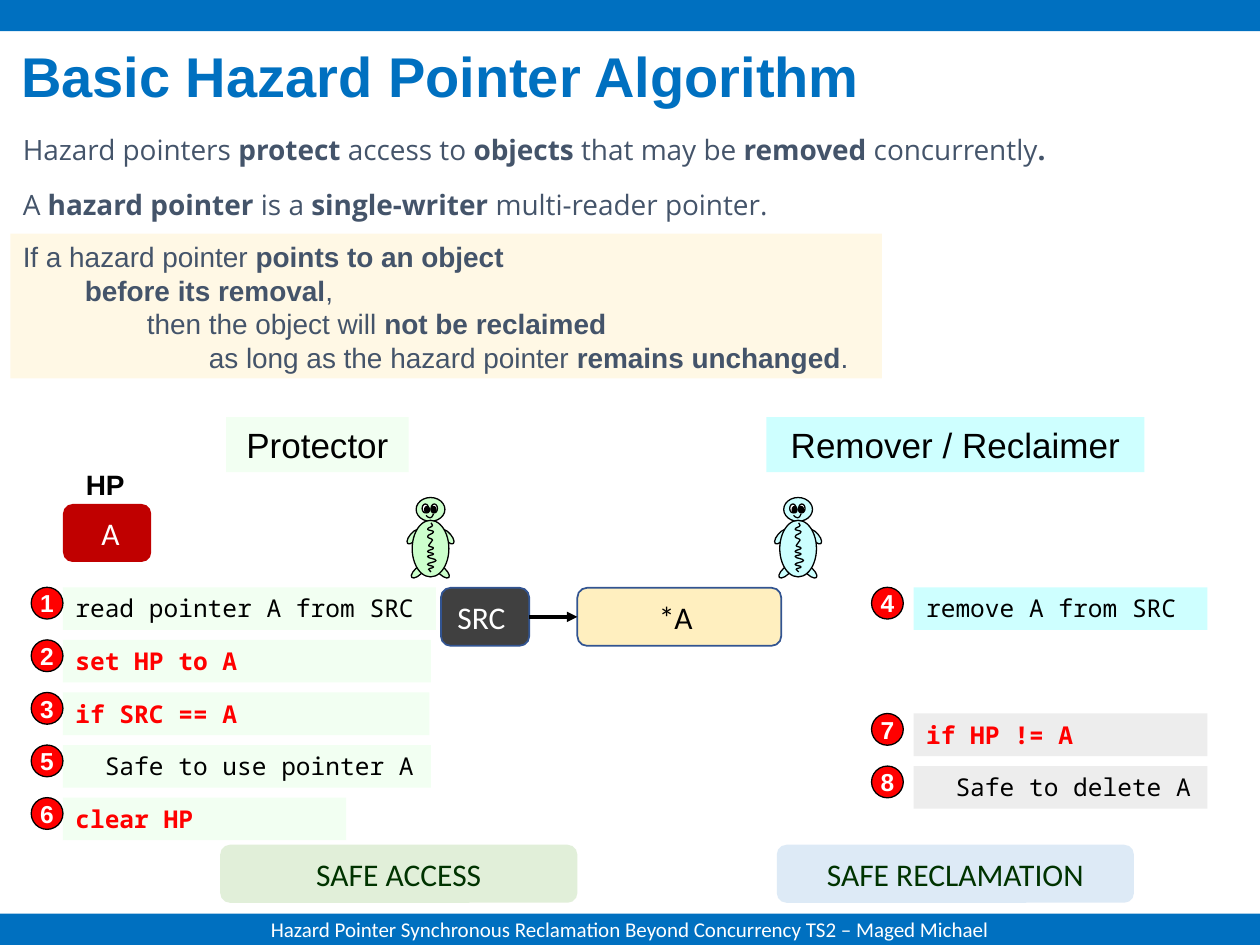
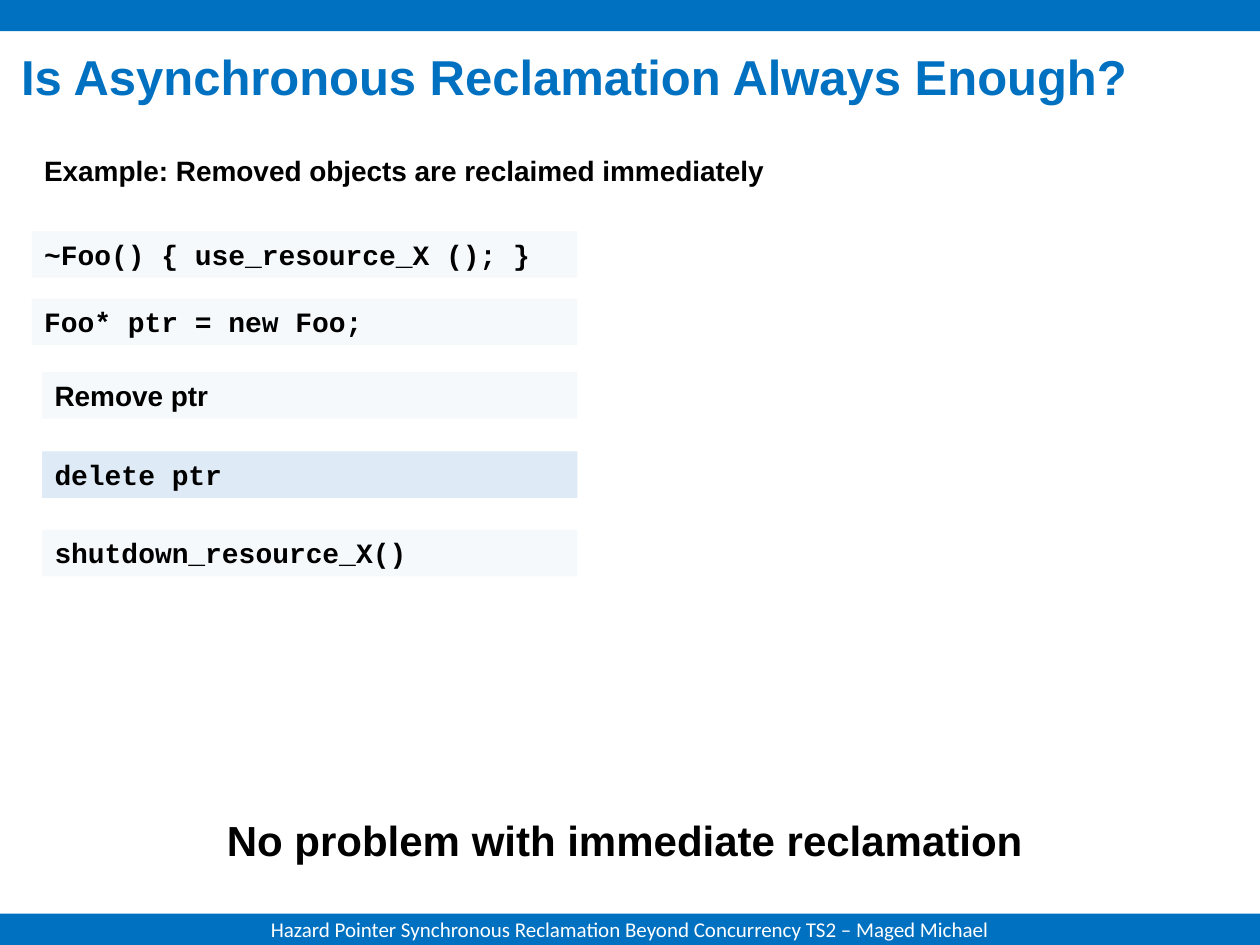
"""Build two slides on hazard pointers and reclamation."""
from dataclasses import dataclass
from typing import Any, NamedTuple, Optional

from lxml import etree
from pptx import Presentation, util as u
from pptx.dml import color
from pptx.enum import shapes, text
from pptx.oxml import ns

Form = shapes.MSO_SHAPE
Side = text.PP_ALIGN
Hold = text.MSO_ANCHOR


class Style(NamedTuple):
    font: str
    size: float
    ink: str
    bold: bool = False


class Paint(NamedTuple):
    hue: str
    alpha: int = 100


class Edge(NamedTuple):
    hue: str
    width: float


@dataclass(frozen=True)
class Theme:
    blue: Paint = Paint("0070C0")
    mint: Paint = Paint("CCFFCC", 25)
    aqua: Paint = Paint("CEFFFF")
    grey: Paint = Paint("EDEDED")
    cream: Paint = Paint("FFC000", 10)
    gold: Paint = Paint("FFC000", 25)
    coal: Paint = Paint("000000", 75)
    wine: Paint = Paint("C00000")
    red: Paint = Paint("FF0000")
    leaf: Paint = Paint("C5E0B4", 50)
    sky: Paint = Paint("BDD7EE", 50)
    ice: Paint = Paint("DEEBF7")
    frost: Paint = Paint("DEEBF7", 25)
    white: Paint = Paint("FFFFFF")
    black: Paint = Paint("000000")
    green: Paint = Paint("CCFFCC")
    cyan: Paint = Paint("CCFFFF")
    thin: Edge = Edge("000000", 0.75)
    thick: Edge = Edge("000000", 2)
    navy: Edge = Edge("325491", 1)
    title: Style = Style("Arial", 32, "0070C0", True)
    small: Style = Style("Arial", 28, "0070C0", True)
    foot: Style = Style("Calibri", 12, "FFFFFF")
    prose: Style = Style("Open Sans", 16, "44546A")
    claim: Style = Style("Arial", 16, "44546A")
    head: Style = Style("Arial", 20, "000000")
    label: Style = Style("Arial", 16, "000000", True)
    close: Style = Style("Arial", 24, "000000", True)
    step: Style = Style("Noto Sans Mono", 14, "000000")
    key: Style = Style("Noto Sans Mono", 14, "FF0000", True)
    code: Style = Style("Courier New", 16, "000000", True)
    badge: Style = Style("Arial", 14, "FFFFFF", True)
    light: Style = Style("Calibri", 18, "FFFFFF")
    dark: Style = Style("Calibri", 18, "000000")
    pine: Style = Style("Calibri", 18, "003300")


T = Theme()


@dataclass(frozen=True)
class Box:
    x: float
    y: float
    w: float
    h: float
    words: str = ""
    style: Style = T.label
    fill: Optional[Paint] = None
    edge: Optional[Edge] = None
    form: Any = Form.RECTANGLE
    align: Any = Side.LEFT
    hold: Any = Hold.TOP
    wrap: bool = True
    turn: float = 0
    lead: Any = None


class Step(NamedTuple):
    mark: str
    x: float
    slot: float
    width: float
    gap: float
    words: str
    style: Style
    fill: Paint


def apply(item: Any, vals: dict) -> None:
    """Set each named value on the item."""
    for name, val in vals.items():
        setattr(item, name, val)


def rgb(hue: str) -> color.RGBColor:
    """Turn a hex string into a colour."""
    return color.RGBColor.from_string(hue)


def tint(item: Any, fill: Optional[Paint], edge: Optional[Edge]) -> None:
    """Fill and outline a shape, without a shadow."""
    item.shadow.inherit = False
    if fill:
        item.fill.solid()
        item.fill.fore_color.rgb = rgb(fill.hue)
        if fill.alpha < 100:
            hue = item.fill._xPr.find(".//" + ns.qn("a:srgbClr"))
            etree.SubElement(hue, ns.qn("a:alpha"), val=str(fill.alpha * 1000))
    else:
        item.fill.background()
    if edge:
        item.line.color.rgb = rgb(edge.hue)
        item.line.width = u.Pt(edge.width)
    else:
        item.line.fill.background()


def write(frame: Any, box: Box) -> None:
    """Write lines, each one step further in; bars toggle bold."""
    apply(frame, dict(word_wrap=box.wrap, vertical_anchor=box.hold,
                      auto_size=text.MSO_AUTO_SIZE.NONE))
    for rank, line in enumerate(box.words.split("\n")):
        para = frame.add_paragraph() if rank else frame.paragraphs[0]
        apply(para, dict(alignment=box.align, line_spacing=box.lead))
        if rank:
            para._p.get_or_add_pPr().set("marL", str(u.Cm(1.25 * rank)))
        for turn, part in enumerate(line.split("|")):
            if not part:
                continue
            run = para.add_run()
            run.text = part
            apply(run.font, dict(name=box.style.font, size=u.Pt(box.style.size),
                                 bold=box.style.bold or turn % 2 == 1))
            run.font.color.rgb = rgb(box.style.ink)


def draw(pool: Any, box: Box) -> Any:
    """Draw a box as a shape, or as a text box when it has no fill."""
    area = [u.Cm(n) for n in (box.x, box.y, box.w, box.h)]
    if box.fill:
        item = pool.add_shape(box.form, *area)
        tint(item, box.fill, box.edge)
        item.rotation = box.turn
    else:
        item = pool.add_textbox(*area)
    if box.words:
        write(item.text_frame, box)
    return item


def trace(pool: Any, x: float, y: float, dots: list, fill: Optional[Paint] = None) -> Any:
    """Draw an open line through the dots."""
    spots = [(u.Cm(x + a), u.Cm(y + b)) for a, b in dots]
    pen = pool.build_freeform(*spots[0])
    pen.add_line_segments(spots[1:], close=False)
    item = pen.convert_to_shape()
    tint(item, fill, T.thin)
    return item


def curve(item: Any) -> None:
    """Bend each straight segment so that the turns are round."""
    spots = list(item._element.iter(ns.qn("a:pt")))
    for last, spot in zip(spots, spots[1:]):
        mid = str((int(last.get("y")) + int(spot.get("y"))) // 2)
        bend = spot.getparent()
        bend.tag = ns.qn("a:cubicBezTo")
        for rank, end in enumerate((last, spot)):
            bend.insert(rank, etree.Element(ns.qn("a:pt"), x=end.get("x"), y=mid))


LIMBS = [(0.13, 0, 0.58, 0.48, 0), (0.1, 1.3, 0.15, 0.37, 47),
         (0.58, 1.3, 0.15, 0.37, 313), (0, 0.61, 0.15, 0.36, 40),
         (0.69, 0.61, 0.15, 0.36, 320), (0.05, 0.46, 0.74, 1.14, 0)]
EYES = [(0.25, 0.13, 0.13, 0.18, T.white), (0.43, 0.13, 0.13, 0.18, T.white),
        (0.3, 0.18, 0.1, 0.13, T.black), (0.43, 0.18, 0.1, 0.13, T.black)]
SEAM = [(0.43, 0.51), (0.46, 0.56), (0.36, 0.64), (0.48, 0.69), (0.36, 0.79),
        (0.46, 0.86), (0.38, 0.97), (0.48, 1.02), (0.36, 1.09), (0.48, 1.14),
        (0.36, 1.19), (0.53, 1.27), (0.36, 1.35), (0.48, 1.4), (0.38, 1.45),
        (0.43, 1.5)]
SMILE = [(0.33, 0.36), (0.36, 0.39), (0.41, 0.41), (0.45, 0.39), (0.48, 0.33)]


def figure(slide: Any, x: float, y: float, skin: Paint) -> None:
    """Draw one small figure as a group."""
    pool = slide.shapes.add_group_shape().shapes
    for a, b, w, h, turn in LIMBS:
        draw(pool, Box(x + a, y + b, w, h, fill=skin, edge=T.thin,
                       form=Form.OVAL, turn=turn))
    curve(trace(pool, x, y, SEAM, skin))
    trace(pool, x, y, SMILE)
    for a, b, w, h, fill in EYES:
        draw(pool, Box(x + a, y + b, w, h, fill=fill, edge=T.thin, form=Form.OVAL))


def pill(x: float, y: float, w: float, words: str, style: Style,
         fill: Paint, edge: Optional[Edge] = None) -> Box:
    """Describe a rounded box with centred text."""
    return Box(x, y, w, 1.17, words, style, fill, edge, Form.ROUNDED_RECTANGLE,
               Side.CENTER, Hold.MIDDLE)


def arrow(slide: Any, start: Any, end: Any) -> None:
    """Join the right side of one box to the left side of the next."""
    link = slide.shapes.add_connector(shapes.MSO_CONNECTOR.STRAIGHT, 0, 0, 0, 0)
    link.begin_connect(start, 3)
    link.end_connect(end, 1)
    link.line.width = u.Pt(T.thick.width)
    link.line.color.rgb = rgb(T.thick.hue)
    etree.SubElement(link.line._get_or_add_ln(), ns.qn("a:tailEnd"), type="triangle")
    etree.SubElement(link._element.spPr, ns.qn("a:effectLst"))


def start(deck: Any, words: str, style: Style) -> Any:
    """Add a slide with its title and bands."""
    slide = deck.slides.add_slide(deck.slide_layouts[5])
    title = slide.shapes.title
    apply(title, dict(left=u.Cm(0.17), top=u.Cm(0.94), width=u.Cm(25.02),
                      height=u.Cm(1.4)))
    write(title.text_frame, Box(0, 0, 0, 0, words, style, hold=Hold.MIDDLE, lead=0.8))
    foot = "Hazard Pointer Synchronous Reclamation Beyond Concurrency TS2 – Maged Michael"
    for y, line in ((0, ""), (18.42, foot)):
        draw(slide.shapes, Box(0, y, 25.4, 0.63, line, T.foot, T.blue,
                               align=Side.CENTER, hold=Hold.MIDDLE))
    return slide


STEPS = [
    Step("1", 0.63, 0, 7.52, 0.64, "read pointer A from SRC", T.step, T.mint),
    Step("2", 0.63, 1, 7.42, 0.64, "set HP to A", T.key, T.mint),
    Step("3", 0.63, 2, 7.39, 0.64, "if SRC == A", T.key, T.mint),
    Step("5", 0.63, 3, 7.42, 0.64, "  Safe to use pointer A", T.step, T.mint),
    Step("6", 0.63, 4, 5.71, 0.64, "clear HP", T.key, T.mint),
    Step("4", 17.57, 0, 5.92, 0.85, "remove A from SRC", T.step, T.aqua),
    Step("7", 17.57, 2.4, 5.92, 0.85, "if HP != A", T.key, T.grey),
    Step("8", 17.57, 3.4, 5.92, 0.85, "  Safe to delete A", T.step, T.grey),
]
CLAIM = ("If a hazard pointer |points to an object|\n|before its removal|,\n"
         "then the object will |not be reclaimed|\n"
         "as long as the hazard pointer |remains unchanged|.")


def basics(deck: Any) -> None:
    """Build the slide on the basic algorithm."""
    slide = start(deck, "Basic Hazard Pointer Algorithm", T.title)
    pool = slide.shapes
    for box in (
        Box(0.21, 2.54, 23.5, 0.84, "Hazard pointers |protect |access to |objects |"
            "that may be |removed| concurrently|.|", T.prose),
        Box(0.21, 3.66, 17.57, 0.84,
            "A |hazard pointer| is a |single-writer| multi-reader pointer.", T.prose),
        Box(0.21, 4.71, 17.57, 2.92, CLAIM, T.claim, T.cream, lead=u.Pt(19.2)),
        Box(4.56, 8.41, 3.68, 1.11, "Protector", T.head, T.mint, align=Side.CENTER),
        Box(15.45, 8.41, 7.62, 1.11, "Remover / Reclaimer", T.head, T.aqua,
            align=Side.CENTER),
        Box(1.48, 9.3, 1.47, 0.84, "HP"),
        pill(1.27, 10.16, 1.78, " A", T.light, T.wine),
        pill(4.44, 17.03, 7.2, "SAFE ACCESS", T.pine, T.leaf),
        pill(15.66, 17.03, 7.2, "SAFE RECLAMATION", T.pine, T.sky),
    ):
        draw(pool, box)
    for step in STEPS:
        y = 11.84 + 1.06 * step.slot
        draw(pool, Box(step.x + step.gap, y, step.width, 0.86, step.words,
                       step.style, step.fill))
        draw(pool, Box(step.x, y, 0.64, 0.64, step.mark, T.badge, T.red, T.thin,
                       Form.OVAL, Side.CENTER, Hold.MIDDLE, False))
    source = draw(pool, pill(8.89, 11.85, 1.78, "SRC ", T.light, T.coal, T.navy))
    target = draw(pool, pill(11.64, 11.85, 4.11, "*A ", T.dark, T.gold, T.navy))
    arrow(slide, source, target)
    figure(slide, 8.26, 10.03, T.green)
    figure(slide, 15.67, 10.03, T.cyan)


def enough(deck: Any) -> None:
    """Build the slide on immediate reclamation."""
    slide = start(deck, "Is Asynchronous Reclamation Always Enough?", T.small)
    pool = slide.shapes
    draw(pool, Box(0.64, 2.97, 23.93, 0.94,
                   "Example: Removed objects are reclaimed immediately"))
    for x, y, words, style, fill in (
        (0.64, 4.66, "~Foo() { use_resource_X (); }", T.code, T.frost),
        (0.64, 6.02, "Foo* ptr = new Foo;", T.code, T.frost),
        (0.85, 7.5, "Remove ptr", T.label, T.frost),
        (0.85, 9.1, "delete ptr", T.code, T.ice),
        (0.85, 10.68, "shutdown_resource_X()", T.code, T.frost),
    ):
        draw(pool, Box(x, y, 11.64 - x, 0.94, words, style, fill))
    draw(pool, Box(0.63, 16.29, 23.93, 1.27, "No problem with immediate reclamation",
                   T.close, align=Side.CENTER))


def main() -> None:
    """Build and save the deck."""
    deck = Presentation()
    apply(deck, dict(slide_width=u.Cm(25.4), slide_height=u.Cm(19.05)))
    basics(deck)
    enough(deck)
    deck.save("out.pptx")


if __name__ == "__main__":
    main()
